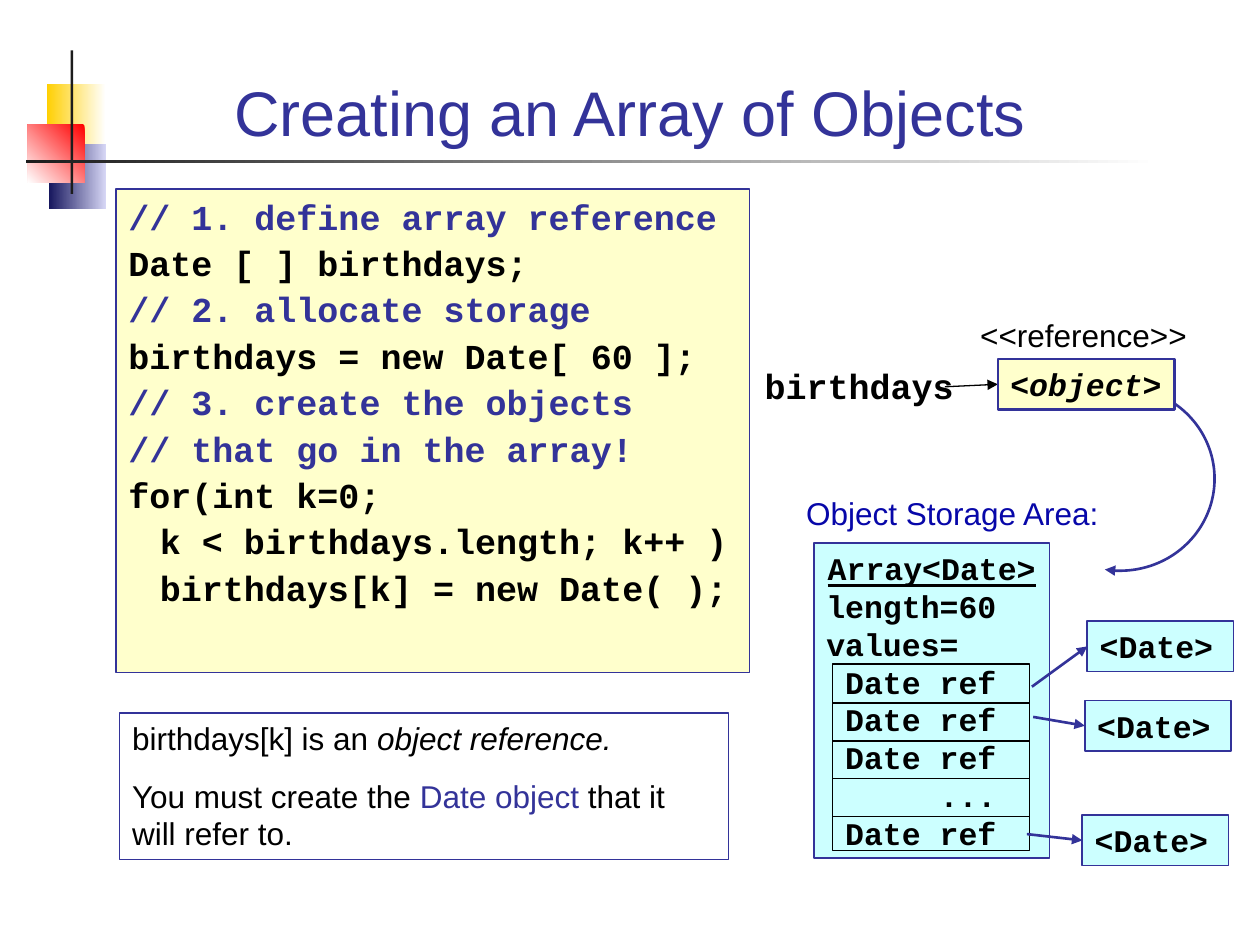
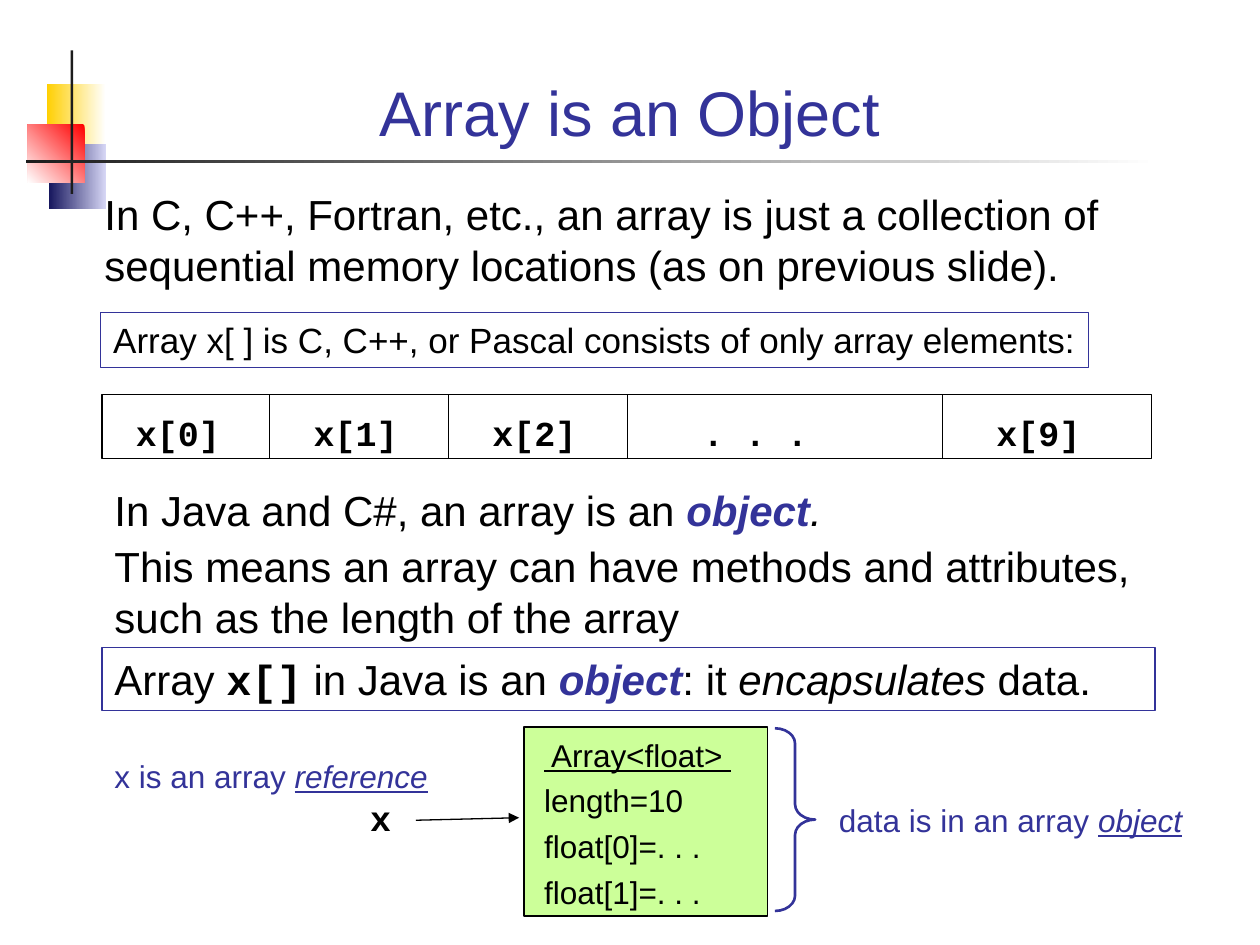
from lxml import etree
from pptx import Presentation
from pptx.dml.color import RGBColor
from pptx.enum.shapes import MSO_CONNECTOR, MSO_SHAPE as SHAPE
from pptx.enum.text import MSO_ANCHOR as ANCHOR, PP_ALIGN as ALIGN
from pptx.oxml.ns import qn
from pptx.util import Inches, Pt

INDIGO = RGBColor(0x33, 0x33, 0x99)
BLACK = RGBColor(0, 0, 0)
WHITE = RGBColor(255, 255, 255)
CHARCOAL = RGBColor(0x1C, 0x1C, 0x1C)
YELLOW = RGBColor(0xFF, 0xCF, 0x01)
RED = RGBColor(255, 0, 0)
NAVY = RGBColor(0x17, 0x17, 0x5E)
LAVENDER = RGBColor(0xD6, 0xD6, 0xF5)
CREAM = RGBColor(0xFF, 0xFF, 0xCC)
CYAN = RGBColor(0xCC, 0xFF, 0xFF)
GREEN = RGBColor(0xCC, 0xFF, 0x99)
BLUE = RGBColor(0x07, 0x07, 0xA9)
SANS, MONO = "Arial", "Courier New"


def add_box(page, at, paragraphs=(), size=18, font=SANS, color=BLACK, fill=None,
            line=None, weight=0.75, kind=SHAPE.RECTANGLE, wrap=True, gap=0,
            align=ALIGN.LEFT, anchor=ANCHOR.TOP):
    """A span is a string or (string, marks): a accent, m mono, b bold, i italic, u underline."""
    place = [Inches(length) for length in at]
    if fill is None and line is None:
        box = page.shapes.add_textbox(*place)
    else:
        box = page.shapes.add_shape(kind, *place)
        box.shadow.inherit = False
        if fill is None:
            box.fill.background()
        else:
            box.fill.solid()
            box.fill.fore_color.rgb = fill
        if line is None:
            box.line.fill.background()
        else:
            box.line.color.rgb = line
            box.line.width = Pt(weight)
    frame = box.text_frame
    frame.word_wrap = wrap
    frame.vertical_anchor = anchor
    for number, spans in enumerate(paragraphs):
        para = frame.add_paragraph() if number else frame.paragraphs[0]
        para.alignment = align
        para.space_before = Pt(gap if number else 0)
        for span in [spans] if isinstance(spans, str) else spans:
            text, marks = (span, "") if isinstance(span, str) else span
            run = para.add_run()
            run.text = text
            run.font.size = Pt(size)
            run.font.name = MONO if "m" in marks else font
            run.font.bold = font == MONO or "b" in marks
            run.font.italic = "i" in marks
            run.font.underline = "u" in marks
            run.font.color.rgb = INDIGO if "a" in marks else color
    return box


def add_line(page, start, end, color=BLACK, weight=0.75, arrow=False):
    ends = [Inches(length) for length in (*start, *end)]
    line = page.shapes.add_connector(MSO_CONNECTOR.STRAIGHT, *ends)
    line.line.color.rgb = color
    line.line.width = Pt(weight)
    if arrow:
        etree.SubElement(line.line._get_or_add_ln(), qn("a:tailEnd"), type="triangle")
    etree.SubElement(line._element.spPr, qn("a:effectLst"))
    return line


deck = Presentation()
deck.slide_width, deck.slide_height = Inches(10), Inches(7.5)

# Shared decoration and titles
decoration = [
    ((0.37, 0.67, 0.47, 0.52), WHITE, YELLOW, 180),
    ((0.39, 1.14, 0.45, 0.52), LAVENDER, NAVY, 180),
    ((0.22, 0.99, 0.45, 0.46), RED, WHITE, 225),
    ((0.56, 0.4, 0.02, 1.14), CHARCOAL, CHARCOAL, 180),
    ((0.21, 1.27, 8.98, 0.02), WHITE, CHARCOAL, 180),
]
pages = []
for title in ("Creating an Array of Objects", "Array is an Object"):
    page = deck.slides.add_slide(deck.slide_layouts[6])
    for at, first, last, angle in decoration:
        block = add_box(page, at, fill=first)
        if first != last:
            block.fill.gradient()
            block.fill.gradient_angle = angle
            stops = zip(block.fill.gradient_stops, (first, last), (0, 1))
            for stop, color, position in stops:
                stop.color.rgb = color
                stop.position = position
    add_box(page, (0.67, 0.28, 8.66, 0.95), [title], size=36, color=INDIGO,
            align=ALIGN.CENTER, anchor=ANCHOR.BOTTOM)
    pages.append(page)
objects_page, array_page = pages

# Slide 1: code and note
page = objects_page
code = add_box(page, (0.92, 1.5, 5.03, 3.84), [
    [("// 1. define array reference", "a")],
    "Date [ ] birthdays;",
    [("// 2. allocate storage", "a")],
    "birthdays = new Date[ 60 ];",
    [("// 3. create the objects", "a")],
    [("// that go in the array!", "a")],
    "for(int k=0;",
    "k < birthdays.length; k++ )",
    "birthdays[k] = new Date( );",
], size=20, font=MONO, fill=CREAM, line=INDIGO, gap=2.5)
for para in code.text_frame.paragraphs[-2:]:
    para._p.get_or_add_pPr().set("marL", str(Inches(0.25)))
add_box(page, (0.95, 5.66, 4.83, 1.16), [
    ["birthdays[k] is an ", ("object reference.", "i")],
    ["You must create the ", ("Date object", "a"), " that it will refer to."],
], line=INDIGO, gap=11.2)

# Slide 1: reference to the array
to_reference = add_line(page, (7.5, 3.07), (7.92, 3.05), arrow=True)
add_box(page, (5.97, 2.84, 1.7, 0.44), ["birthdays"], size=20, font=MONO, wrap=False)
arc = add_box(page, (8.14, 3.07, 1.5, 1.46), line=INDIGO, weight=1.5, kind=SHAPE.ARC)
arc.adjustments[0] = 162  # 270 degrees
arc.adjustments[1] = 59.7  # 99.5 degrees
etree.SubElement(arc.line._get_or_add_ln(), qn("a:tailEnd"), type="triangle")
reference = add_box(page, (7.92, 2.85, 1.4, 0.4), [["<", ("object", "i"), ">"]],
                    font=MONO, fill=CREAM, line=INDIGO, weight=1.5, wrap=False)
to_reference.end_connect(reference, 1)
add_box(page, (7.68, 2.46, 1.84, 0.4), ["<<reference>>"], wrap=False, align=ALIGN.CENTER)

# Slide 1: storage area, with a divider under each row of references
add_box(page, (6.3, 3.87, 2.77, 0.4), ["Object Storage Area:"], color=BLUE)
storage = add_box(page, (6.46, 4.31, 1.87, 2.5), [
    [("Array<Date>", "u")], "length=60", "values=", " Date ref", " Date ref",
    " Date ref", "      ...", " Date ref",
], font=MONO, fill=CYAN, line=INDIGO)
storage.text_frame.paragraphs[0].alignment = ALIGN.CENTER
add_box(page, (6.61, 5.27, 1.56, 1.48), line=BLACK)
for row in range(4):
    y = 5.58 + 0.3 * row
    add_line(page, (6.61, y), (8.17, y))
for left, top, start in ((8.63, 4.93, (8.19, 5.45)), (8.61, 5.56, (8.2, 5.69)),
                         (8.59, 6.47, (8.15, 6.62))):
    date = add_box(page, (left, top, 1.16, 0.4), ["<Date>"], font=MONO,
                   fill=CYAN, line=INDIGO, weight=1)
    pointer = add_line(page, start, (left, top + 0.2), INDIGO, 1.5, arrow=True)
    pointer.end_connect(date, 1)

# Slide 2: plain arrays
page = array_page
add_box(page, (0.73, 1.45, 8.39, 0.9), [
    "In C, C++, Fortran, etc., an array is just a collection of sequential "
    "memory locations (as on previous slide)."], size=24)
add_box(page, (0.8, 2.48, 7.84, 0.44),
        ["Array x[ ] is C, C++, or Pascal consists of only array elements:"],
        size=20, line=INDIGO, wrap=False)
add_box(page, (0.81, 3.13, 8.33, 0.51), line=BLACK)
for x in (2.14, 3.56, 4.98, 7.48):
    add_line(page, (x, 3.13), (x, 3.64))
for left, width, element in ((0.98, 0.87, "x[0]"), (2.39, 0.87, "x[1]"), (3.81, 0.87, "x[2]"),
                             (5.48, 1.2, ". . ."), (7.81, 0.87, "x[9]")):
    add_box(page, (left, 3.22, width, 0.44), [element], size=20, font=MONO)

# Slide 2: arrays as objects
add_box(page, (0.81, 3.8, 8.5, 1.34), [
    ["In Java and C#, an array is an ", ("object", "abi"), (".", "i")],
    "This means an array can have methods and attributes, such as the length of the array",
], size=24, gap=3)
add_box(page, (0.81, 5.14, 8.36, 0.5), [
    ["Array ", ("x[]", "mb"), " in Java is an ", ("object", "abi"), ": it ",
     ("encapsulates", "i"), " data."]], size=24, line=INDIGO, weight=1)

# Slide 2: reference and object diagram
add_box(page, (4.16, 5.77, 1.93, 1.5), fill=GREEN, line=BLACK)
add_box(page, (4.22, 5.79, 1.87, 1.49), [
    [(" Array<float> ", "u")], "length=10", "float[0]=. . .", "float[1]=. . ."], gap=4.5)
add_box(page, (0.81, 5.96, 2.76, 0.4), [["x is an array ", ("reference", "iu")]], color=INDIGO)
add_box(page, (2.84, 6.27, 0.36, 0.44), ["x"], size=20, font=MONO, wrap=False)
add_line(page, (3.3, 6.51), (4.12, 6.49), arrow=True)
brace = add_box(page, (6.15, 5.78, 0.32, 1.45), line=INDIGO, weight=1.5,
                kind=SHAPE.RIGHT_BRACE)
brace.adjustments[0] = 0.38
add_box(page, (6.56, 6.31, 3.12, 0.4), [["data is in an array ", ("object", "iu")]], color=INDIGO)

deck.save("out.pptx")
